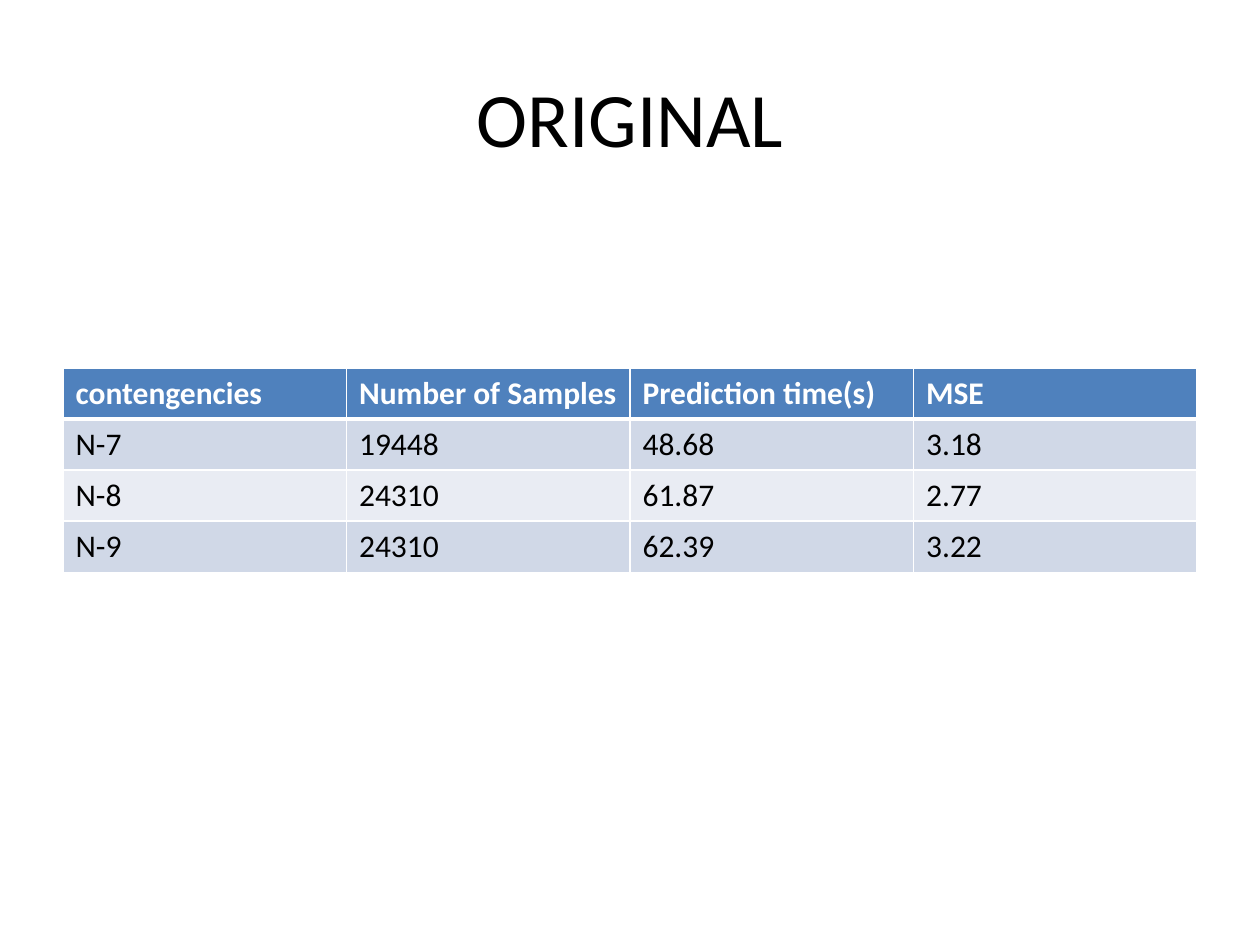
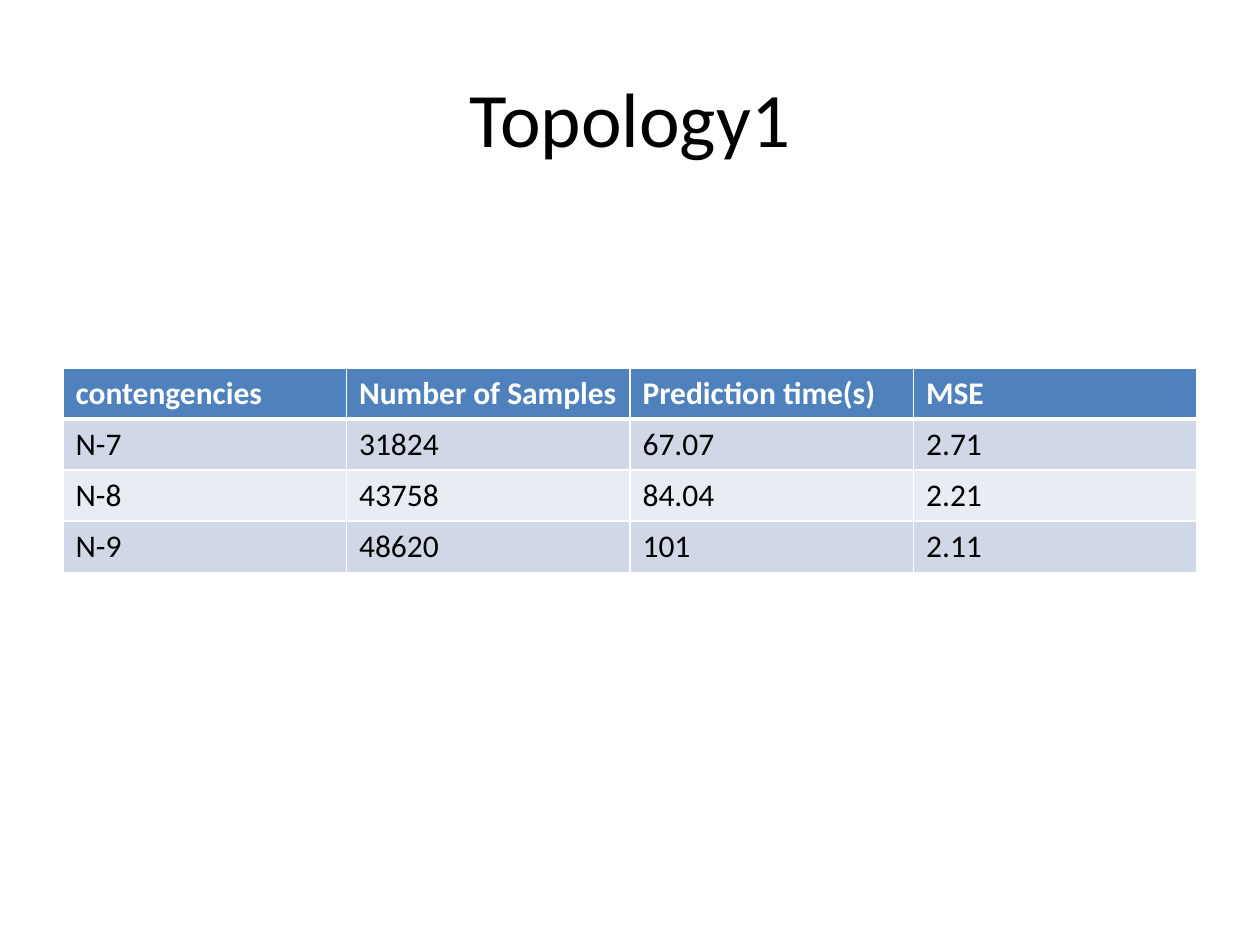
import pptx
import pptx.dml.color
import pptx.enum.text
import pptx.oxml.xmlchemy
import pptx.util
from lxml import etree
from pptx.oxml.ns import qn

RGBColor = pptx.dml.color.RGBColor
Inches = pptx.util.Inches
Pt = pptx.util.Pt

# Shared style
FONT = "Calibri"
BLACK = RGBColor(0x00, 0x00, 0x00)
WHITE = RGBColor(0xFF, 0xFF, 0xFF)
HEADER_BLUE = RGBColor(0x4F, 0x81, 0xBD)
BANDS = (RGBColor(0xD0, 0xD8, 0xE7), RGBColor(0xE9, 0xEC, 0xF3))
THIN, THICK = Pt(0.96), Pt(3)

# Shared layout
WIDTH, HEIGHT = Inches(10), Inches(7.5)
MARGIN = int(WIDTH * 0.05)
CONTENT_WIDTH = WIDTH - 2 * MARGIN
TITLE_TOP, TITLE_HEIGHT = int(HEIGHT * 0.04), Inches(1.25)
TABLE_TOP, ROW_HEIGHT = Inches(2.92), Inches(0.405)

# Content
HEADINGS = ("contengencies", "Number of Samples", "Prediction time(s)", "MSE ")
RESULTS = {
    "ORIGINAL": (
        ("N-7", "19448", "48.68", "3.18"),
        ("N-8", "24310", "61.87", "2.77"),
        ("N-9", "24310", "62.39", "3.22"),
    ),
    "Topology1": (
        ("N-7", "31824", "67.07", "2.71"),
        ("N-8", "43758", "84.04", "2.21"),
        ("N-9", "48620", "101", "2.11"),
    ),
}


def add_run(p, text, size, color, bold=False):
    r = p.add_run()
    r.text = text
    r.font.name = FONT
    r.font.size = Pt(size)
    r.font.bold = bold
    r.font.color.rgb = color


def add_title(slide, text):
    sp = slide.shapes.title
    sp.left, sp.top = MARGIN, TITLE_TOP
    sp.width, sp.height = CONTENT_WIDTH, TITLE_HEIGHT
    tf = sp.text_frame
    tf.vertical_anchor = pptx.enum.text.MSO_ANCHOR.MIDDLE
    p = tf.paragraphs[0]
    p.alignment = pptx.enum.text.PP_ALIGN.CENTER
    add_run(p, text, 44, BLACK)


def set_borders(cell, top, bottom):
    """Draw white cell borders; they must come before the fill in the XML."""
    props = cell._tc.get_or_add_tcPr()
    for side, width in (("L", THIN), ("R", THIN), ("T", top), ("B", bottom)):
        line = etree.SubElement(props, qn("a:ln" + side), w=str(int(width)))
        fill = etree.SubElement(line, qn("a:solidFill"))
        etree.SubElement(fill, qn("a:srgbClr"), val=str(WHITE))


def add_results_table(slide, results):
    rows = (HEADINGS,) + results
    table = slide.shapes.add_table(
        len(rows), len(HEADINGS), MARGIN, TABLE_TOP,
        CONTENT_WIDTH, ROW_HEIGHT * len(rows)).table
    for i, values in enumerate(rows):
        header = i == 0
        top = THICK if i == 1 else THIN
        bottom = THICK if header else THIN
        for j, value in enumerate(values):
            cell = table.cell(i, j)
            set_borders(cell, top, bottom)
            cell.fill.solid()
            cell.fill.fore_color.rgb = HEADER_BLUE if header else BANDS[(i - 1) % 2]
            add_run(cell.text_frame.paragraphs[0], value, 18,
                    WHITE if header else BLACK, header)


def main():
    prs = pptx.Presentation()
    prs.slide_width, prs.slide_height = WIDTH, HEIGHT
    title_only = prs.slide_layouts[5]
    for title, results in RESULTS.items():
        slide = prs.slides.add_slide(title_only)
        add_title(slide, title)
        add_results_table(slide, results)
    prs.save("out.pptx")


main()
